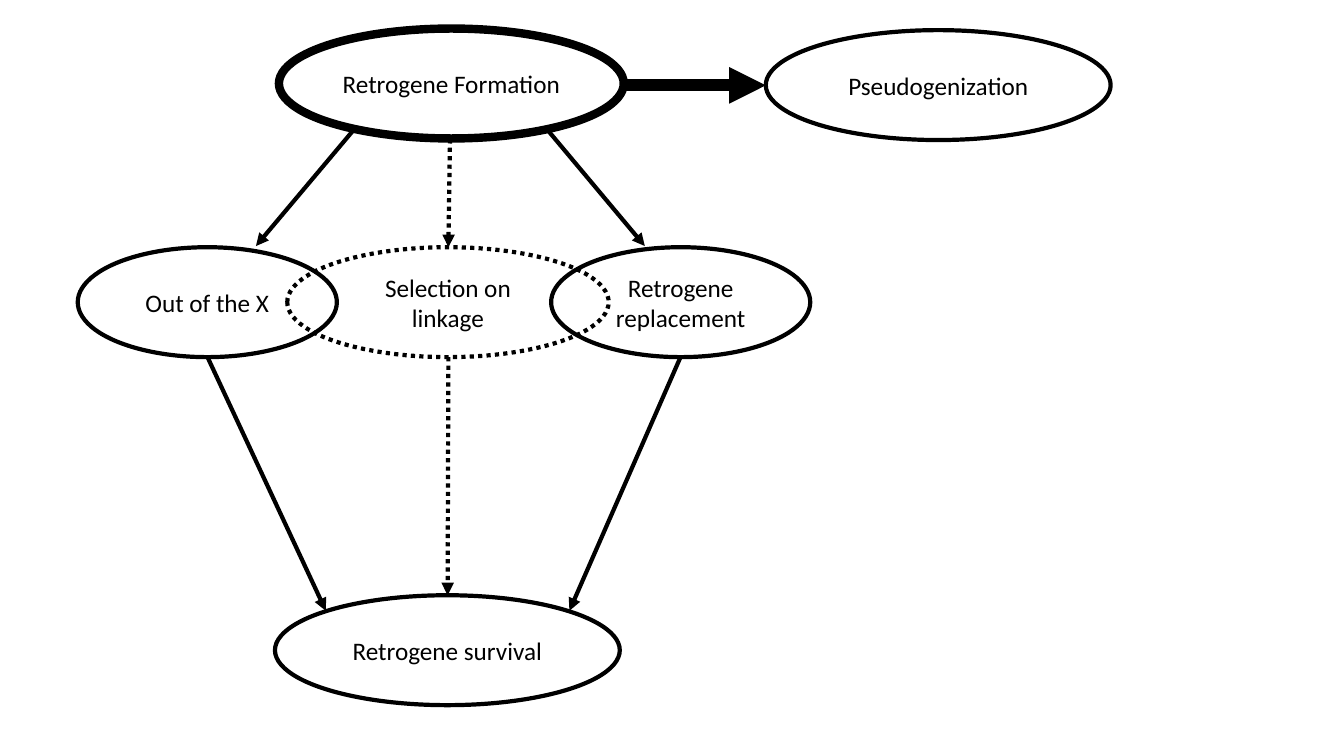
"""Build a slide showing the routes from retrogene formation to survival."""
from lxml import etree
from pptx import Presentation
from pptx import util as u
from pptx.dml.color import RGBColor
from pptx.enum import dml, shapes, text
from pptx.oxml.ns import qn

COLORS = {"ink": "000000", "background": "FFFFFF"}
FONT = "Calibri"
SOLID, DOTTED = dml.MSO_LINE.SOLID, dml.MSO_LINE.ROUND_DOT
OVAL_HEIGHT = 2.77
WIDE, MEDIUM, NARROW = 8.69, 8.1, 6.53
MIDDLE_ROW, SURVIVAL_ROW = 6.23, 15
MIDDLE_BOTTOM = MIDDLE_ROW + OVAL_HEIGHT

presentation = Presentation()
presentation.slide_width = u.Cm(33.87)
presentation.slide_height = u.Cm(19.05)
slide = presentation.slides.add_slide(presentation.slide_layouts[6])
slide.background.fill.solid()
slide.background.fill.fore_color.rgb = RGBColor.from_string(COLORS["background"])


def write(shape, words, size=18, color="ink", align=text.PP_ALIGN.CENTER):
    """Put words in a shape, one paragraph a line."""
    frame = shape.text_frame
    frame.word_wrap = True
    frame.vertical_anchor = text.MSO_ANCHOR.MIDDLE
    frame.text = words
    for paragraph in frame.paragraphs:
        paragraph.alignment = align
        paragraph.font.name = FONT
        paragraph.font.size = u.Pt(size)
        paragraph.font.color.rgb = RGBColor.from_string(COLORS[color])


def draw_line(line, weight, dash):
    """Format an outline or an arrow."""
    line.color.rgb = RGBColor.from_string(COLORS["ink"])
    line.width = u.Pt(weight)
    line.dash_style = dash


ovals = [
    ("Retrogene Formation", 7.03, 0.72, WIDE, 6, SOLID),
    ("Pseudogenization", 19.3, 0.76, WIDE, 3, SOLID),
    ("Out of the X", 1.96, MIDDLE_ROW, NARROW, 3, SOLID),
    ("Selection on\nlinkage", 7.24, MIDDLE_ROW, MEDIUM, 3, DOTTED),
    ("Retrogene replacement", 13.89, MIDDLE_ROW, NARROW, 3, SOLID),
    ("Retrogene survival", 6.93, SURVIVAL_ROW, WIDE, 3, SOLID),
]
for words, left, top, width, weight, dash in ovals:
    oval = slide.shapes.add_shape(
        shapes.MSO_SHAPE.OVAL, u.Cm(left), u.Cm(top), u.Cm(width), u.Cm(OVAL_HEIGHT))
    oval.shadow.inherit = False
    oval.fill.background()
    draw_line(oval.line, weight, dash)
    write(oval, words)

arrows = [
    (15.7, 2.15, 19.3, 2.15, 8.75, SOLID),
    (8.89, 3.3, 6.45, 6.2, 3, SOLID),
    (13.82, 3.3, 16.25, 6.2, 3, SOLID),
    (11.34, 3.51, 11.3, MIDDLE_ROW, 3, DOTTED),
    (5.23, MIDDLE_BOTTOM, 8.21, 15.39, 3, SOLID),
    (17.15, MIDDLE_BOTTOM, 14.35, 15.39, 3, SOLID),
    (11.3, MIDDLE_BOTTOM, 11.28, SURVIVAL_ROW, 3, DOTTED),
]
for *ends, weight, dash in arrows:
    arrow = slide.shapes.add_connector(
        shapes.MSO_CONNECTOR.STRAIGHT, *(u.Cm(end) for end in ends))
    draw_line(arrow.line, weight, dash)
    properties = arrow._element.spPr
    etree.SubElement(properties.find(qn("a:ln")), qn("a:tailEnd"), type="triangle")
    etree.SubElement(properties, qn("a:effectLst"))

presentation.save("out.pptx")
